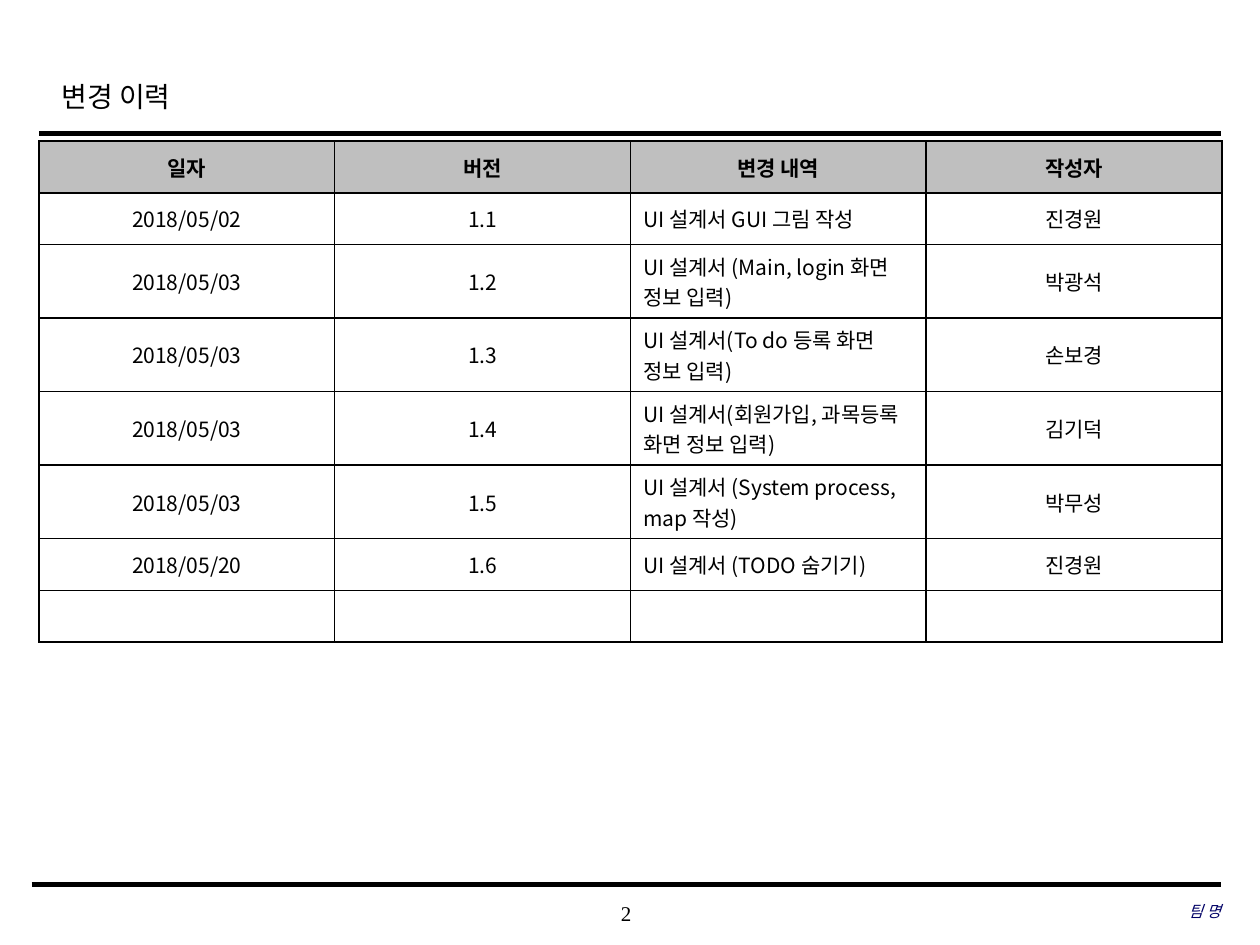
from typing import NamedTuple

from lxml import etree
from pptx import Presentation
from pptx.dml.color import RGBColor
from pptx.enum import shapes, text
from pptx.oxml.ns import qn
from pptx.util import Inches, Pt

SANS = "Noto Sans CJK KR"
SERIF = "Times New Roman"
LEFT, CENTER, RIGHT = text.PP_ALIGN.LEFT, text.PP_ALIGN.CENTER, text.PP_ALIGN.RIGHT


class Revision(NamedTuple):
    date: str
    version: str
    change: str
    author: str


class Rule(NamedTuple):
    left: float
    right: float
    y: float
    weight: float


class Label(NamedTuple):
    words: str
    box: tuple[float, float, float, float]
    size: float
    color: str = "000000"
    align: text.PP_ALIGN = CENTER
    italic: bool = False
    inset: tuple[float, float] = (0, 0)
    spacing: float = 1.0


HEADINGS = Revision("일자", "버전", "변경 내역", "작성자")
REVISIONS = [
    Revision("2018/05/02", "1.1", "UI 설계서 GUI 그림 작성 ", "진경원"),
    Revision("2018/05/03", "1.2", "UI 설계서 (Main, login 화면 정보 입력) ", "박광석"),
    Revision("2018/05/03", "1.3", "UI 설계서(To do 등록 화면 정보 입력)", "손보경"),
    Revision("2018/05/03", "1.4", "UI 설계서(회원가입, 과목등록 화면 정보 입력)", "김기덕"),
    Revision("2018/05/03", "1.5", "UI 설계서 (System process, map 작성)", "박무성"),
    Revision("2018/05/20", "1.6", "UI 설계서 (TODO 숨기기)", "진경원"),
    Revision("", "", "", ""),
]
ROW_HEIGHTS = [0.41] * 2 + [0.5] * 4 + [0.41] * 2
COLUMN_WIDTH = 2.347

RULES = [Rule(0.31, 9.69, 1.06, 2.5), Rule(0.25, 9.69, 7.02, 3)]
LABELS = [
    Label("변경 이력", (0.39, 0.49, 7.55, 0.5), 16, align=LEFT,
          inset=(0.1, 0.05), spacing=1.2),
    Label("2", (3.93, 7.08, 2.08, 0.33), 12),
    Label("팀 명", (6.63, 7.07, 3.06, 0.33), 9, color="000066",
          align=RIGHT, italic=True),
]


def rgb(color: str) -> RGBColor:
    return RGBColor.from_string(color)


def write(paragraph, words: str, *, size: float, font: str, color: str = "000000",
          align: text.PP_ALIGN = CENTER, bold: bool = False, italic: bool = False,
          spacing: float = 1.0) -> None:
    paragraph.alignment = align
    paragraph.line_spacing = spacing
    if not words:
        paragraph.font.size = Pt(size)
        return
    run = paragraph.add_run()
    run.text = words
    run.font.size, run.font.name = Pt(size), font
    run.font.bold, run.font.italic = bold, italic
    run.font.color.rgb = rgb(color)
    # Hangul typeface
    etree.SubElement(run._r.get_or_add_rPr(), qn("a:ea"), typeface=SANS)


def draw_label(slide, label: Label) -> None:
    box = slide.shapes.add_textbox(*(Inches(n) for n in label.box))
    frame = box.text_frame
    frame.word_wrap = True
    frame.vertical_anchor = text.MSO_ANCHOR.MIDDLE
    frame.margin_left = frame.margin_right = Inches(label.inset[0])
    frame.margin_top = frame.margin_bottom = Inches(label.inset[1])
    write(frame.paragraphs[0], label.words, size=label.size, font=SERIF,
          color=label.color, align=label.align, italic=label.italic,
          spacing=label.spacing)


def draw_rule(slide, rule: Rule) -> None:
    line = slide.shapes.add_connector(
        shapes.MSO_CONNECTOR.STRAIGHT, Inches(rule.left), Inches(rule.y),
        Inches(rule.right), Inches(rule.y))
    line.line.color.rgb = rgb("000000")
    line.line.width = Pt(rule.weight)
    etree.SubElement(line._element.spPr, qn("a:effectLst"))


def add_borders(cell, color: str, weight: float) -> None:
    properties = cell._tc.get_or_add_tcPr()
    for index, side in enumerate(("lnL", "lnR", "lnT", "lnB")):
        border = etree.Element(qn(f"a:{side}"), w=str(Pt(weight)))
        fill = etree.SubElement(border, qn("a:solidFill"))
        etree.SubElement(fill, qn("a:srgbClr"), val=color)
        properties.insert(index, border)


def draw_history(slide) -> None:
    entries = [HEADINGS, *REVISIONS]
    columns = len(HEADINGS)
    history = slide.shapes.add_table(
        len(entries), columns, Inches(0.31), Inches(1.12),
        Inches(COLUMN_WIDTH * columns), Inches(sum(ROW_HEIGHTS))).table
    for column in history.columns:
        column.width = Inches(COLUMN_WIDTH)
    for number, (entry, height) in enumerate(zip(entries, ROW_HEIGHTS)):
        history.rows[number].height = Inches(height)
        heading = number == 0
        for field, words in zip(Revision._fields, entry):
            cell = history.cell(number, Revision._fields.index(field))
            cell.vertical_anchor = text.MSO_ANCHOR.MIDDLE
            cell.fill.solid()
            cell.fill.fore_color.rgb = rgb("BFBFBF" if heading else "FFFFFF")
            add_borders(cell, "000000", 1)
            align = LEFT if field == "change" and not heading else CENTER
            write(cell.text_frame.paragraphs[0], words, size=12, font=SANS,
                  align=align, bold=heading)


# Slide
deck = Presentation()
deck.slide_width, deck.slide_height = Inches(10), Inches(7.5)
page = deck.slides.add_slide(deck.slide_layouts[6])

# Frame lines, change history, then title and footer
for frame_rule in RULES:
    draw_rule(page, frame_rule)
draw_history(page)
for page_label in LABELS:
    draw_label(page, page_label)

deck.save("out.pptx")
